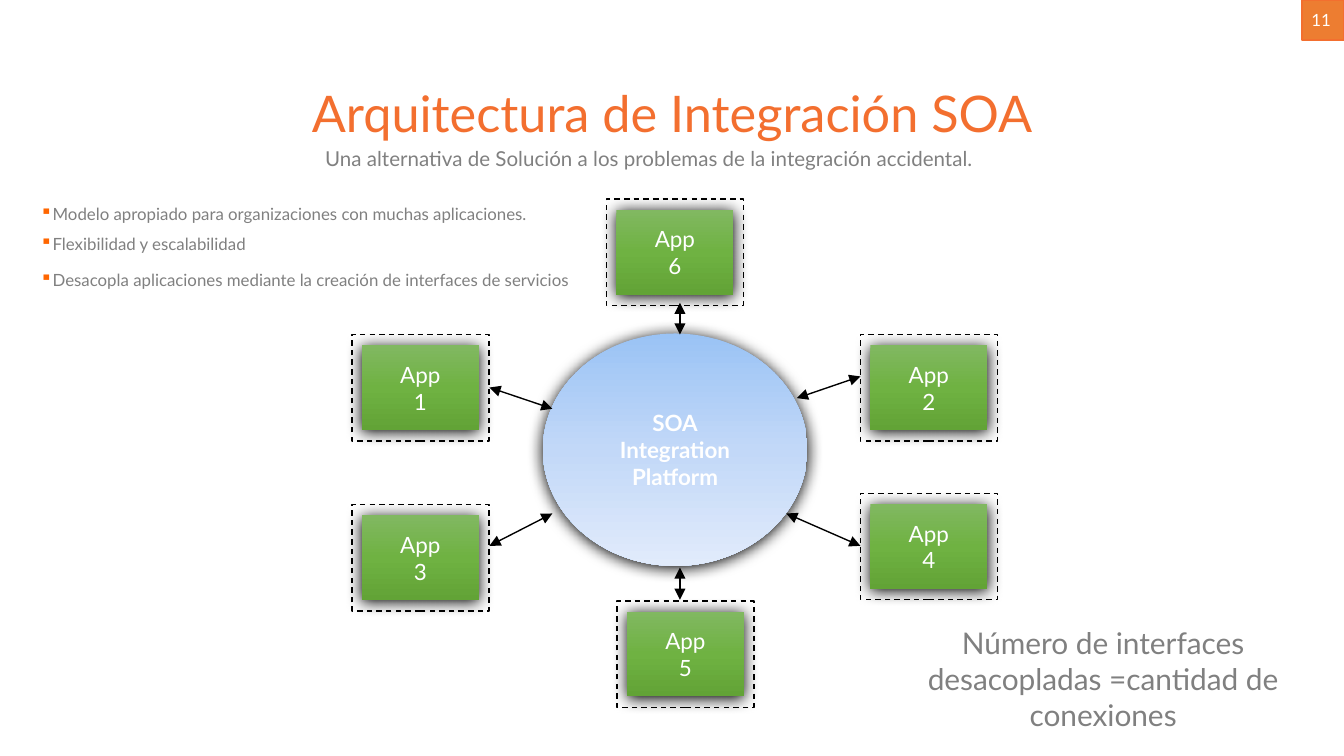
import pptx
import pptx.util
import pptx.oxml
import pptx.oxml.ns
import pptx.dml.color
import pptx.enum.dml
import pptx.enum.shapes
import pptx.enum.text

Cm, Pt = pptx.util.Cm, pptx.util.Pt
Kind = pptx.enum.shapes.MSO_SHAPE
Align = pptx.enum.text.PP_ALIGN
Anchor = pptx.enum.text.MSO_ANCHOR

# Content
TITLE = "Arquitectura de Integración SOA"
LEAD = "Una alternativa de Solución a los problemas de la integración accidental."
POINTS = [
    "Modelo apropiado para organizaciones con muchas aplicaciones.",
    "Flexibilidad y escalabilidad",
    "Desacopla aplicaciones mediante la creación de interfaces de servicios",
]
NOTE = "Número de interfaces desacopladas =cantidad de conexiones"
PAGE = "11"
HUB = "SOA\nIntegration\nPlatform"

# App number: left and top of its frame, then both ends of its arrow (cm)
APPS = {
    1: ((6.65, 6.32), (9.25, 7.32, 10.44, 7.72)),
    2: ((16.26, 6.32), (16.26, 7.11, 15.06, 7.52)),
    3: ((6.65, 9.53), (9.25, 10.31, 10.44, 9.7)),
    4: ((16.26, 9.32), (16.26, 10.31, 14.86, 9.7)),
    5: ((11.66, 11.35), (12.85, 11.33, 12.85, 10.72)),
    6: ((11.46, 3.76), (12.85, 5.72, 12.85, 6.32)),
}
FRAME = (2.59, 2.01)
APP = (2.21, 1.6)

FONT = "Lato"
COLORS = {"title": "F36F2F", "tab": "ED7D31", "text": "808080",
          "bullet": "FF6600", "white": "FFFFFF", "black": "000000"}
GREEN = ["81B861", "6FB242", "62A336"]
BLUE = ["9AC3F5", "C2D8F8", "E1EBFB"]

deck = pptx.Presentation()
deck.slide_width, deck.slide_height = Cm(25.4), Cm(14.28)
slide = deck.slides.add_slide(deck.slide_layouts[6])


def rgb(name):
    return pptx.dml.color.RGBColor.from_string(COLORS[name])


def node(xml):
    space = pptx.oxml.ns.nsdecls("a")
    return pptx.oxml.parse_xml(xml.replace(">", f" {space}>", 1)
                               if "/>" not in xml.split(">")[0] + ">"
                               else xml.replace("/>", f" {space}/>", 1))


def write(shape, text, size, color, align=Align.CENTER, bold=False):
    frame = shape.text_frame
    frame.text = text
    for para in frame.paragraphs:
        para.alignment = align
        for run in para.runs:
            font = run.font
            font.name, font.size, font.bold = FONT, Pt(size), bold
            font.color.rgb = rgb(color)
    return frame


def label(box, text, size, color, align=Align.CENTER, tight=True):
    shape = slide.shapes.add_textbox(*map(Cm, box))
    frame = write(shape, text, size, color, align)
    frame.word_wrap = True
    if tight:
        frame.margin_left = frame.margin_right = Cm(0.18)
        frame.margin_top = frame.margin_bottom = Cm(0.1)
    return frame


def glow(kind, box, stops, text, bold=False):
    shape = slide.shapes.add_shape(kind, *map(Cm, box))
    shape.line.fill.background()
    marks = "".join(f'<a:gs pos="{pos}"><a:srgbClr val="{tone}"/></a:gs>'
                    for pos, tone in zip((0, 50000, 100000), stops))
    props = shape.element.spPr
    props.insert(2, node(f'<a:gradFill rotWithShape="1"><a:gsLst>{marks}</a:gsLst>'
                         '<a:lin ang="5400000" scaled="0"/></a:gradFill>'))
    props.append(node(
        f'<a:effectLst><a:outerShdw blurRad="{Pt(8.5)}" dist="{Pt(1)}" dir="5400000" '
        f'algn="ctr" rotWithShape="0"><a:srgbClr val="{COLORS["black"]}"/>'
        '</a:outerShdw></a:effectLst>'))
    frame = write(shape, text, 12, "white", bold=bold)
    frame.word_wrap = False
    frame.vertical_anchor = Anchor.MIDDLE


def arrow(ends):
    line = slide.shapes.add_connector(
        pptx.enum.shapes.MSO_CONNECTOR.STRAIGHT, *map(Cm, ends))
    line.line.color.rgb = rgb("black")
    line.line.width = Pt(0.75)
    stroke = line.line._get_or_add_ln()
    for end in ("headEnd", "tailEnd"):
        stroke.append(node(f'<a:{end} type="triangle"/>'))
    line.element.spPr.append(node("<a:effectLst/>"))


# Page tab
tab = slide.shapes.add_shape(Kind.RECTANGLE, *map(Cm, (24.61, 0, 0.79, 0.76)))
tab.shadow.inherit = False
tab.fill.solid()
tab.fill.fore_color.rgb = rgb("tab")
tab.line.color.rgb = rgb("title")
tab.line.width = Pt(1)
page = label((24.54, 0, 0.79, 0.76), PAGE, 9, "white", Align.RIGHT)
page.vertical_anchor = Anchor.MIDDLE

# Title, lead and note
for box, text, size, color in [((0, 1.22, 25.4, 1.27), TITLE, 27, "title"),
                               ((0.84, 2.57, 22.86, 1.27), LEAD, 11, "text")]:
    label(box, text, size, color).paragraphs[0].line_spacing = 1.2
label((16.33, 11.68, 9.04, 2.31), NOTE, 16, "text", tight=False)

# Bullet points
points = label((0.51, 3.53, 10.74, 2.64), "\n".join(POINTS), 9, "text",
               Align.LEFT, tight=False)
for para in points.paragraphs:
    para.line_spacing = 1.5
    props = para._p.get_or_add_pPr()
    props.append(node(f'<a:buClr><a:srgbClr val="{COLORS["bullet"]}"/></a:buClr>'))
    props.append(node('<a:buChar char="▪"/>'))
points.paragraphs[-1].space_before = Pt(3)

# Hub, then apps centred in their dashed frames
glow(Kind.OVAL, (10.26, 6.3, 5, 4.39), BLUE, HUB, bold=True)
for num, (spot, ends) in APPS.items():
    inner = [at + (out - size) / 2 for at, out, size in zip(spot, FRAME, APP)]
    glow(Kind.RECTANGLE, (*inner, *APP), GREEN, f"App\n{num}")
    arrow(ends)
    edge = slide.shapes.add_shape(Kind.RECTANGLE, *map(Cm, (*spot, *FRAME)))
    edge.shadow.inherit = False
    edge.fill.background()
    edge.line.color.rgb = rgb("black")
    edge.line.width = Pt(0.75)
    edge.line.dash_style = pptx.enum.dml.MSO_LINE.DASH

deck.save("out.pptx")
